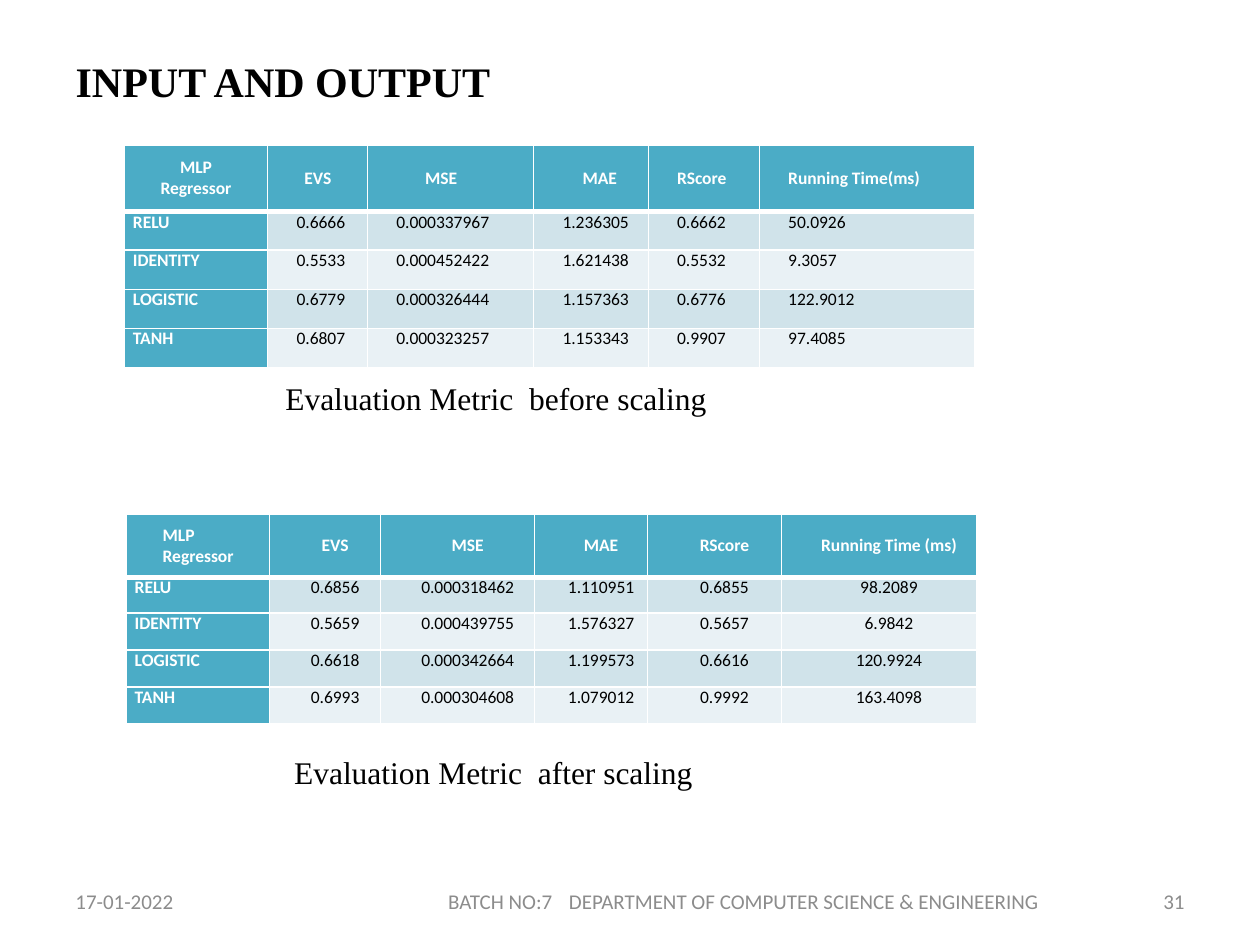
from lxml.etree import SubElement
from pptx import Presentation
from pptx.dml.color import RGBColor
from pptx.enum.text import MSO_ANCHOR as Anchor, PP_ALIGN as Align
from pptx.oxml.ns import qn
from pptx.util import Pt

BLACK = RGBColor(0x00, 0x00, 0x00)
WHITE = RGBColor(0xFF, 0xFF, 0xFF)
GREY = RGBColor(0x8C, 0x8C, 0x8C)
TEAL = RGBColor(0x4B, 0xAC, 0xC6)
BANDS = RGBColor(0xD0, 0xE3, 0xEA), RGBColor(0xE9, 0xF1, 0xF5)

INDENT = 11.5
TITLE = dict(name="Times New Roman", size=Pt(24), bold=True)
CAPTION = dict(name="Times New Roman", size=Pt(18), bold=False)
FOOTER = dict(name="Calibri", size=Pt(12), bold=False)
HEADING = dict(name="Calibri", size=Pt(10), bold=True)
VALUE = dict(name="Calibri", size=Pt(10), bold=False)

BEFORE_HEADS = [
    ("MLP\nRegressor", Align.CENTER, 0),
    ("EVS", Align.JUSTIFY, 16),
    ("MSE", Align.LEFT, 28),
    ("MAE", Align.JUSTIFY, 23),
    ("RScore", Align.JUSTIFY, INDENT),
    ("Running Time(ms)", Align.LEFT, INDENT),
]
AFTER_HEADS = [("MLP\nRegressor", Align.LEFT, 16)] + [
    (name, Align.CENTER, INDENT)
    for name in ("EVS", "MSE", "MAE", "RScore", "Running Time (ms)")
]
BEFORE_ROWS = [
    ("RELU", "0.6666", "0.000337967", "1.236305", "0.6662", "50.0926"),
    ("IDENTITY", "0.5533", "0.000452422", "1.621438", "0.5532", "9.3057"),
    ("LOGISTIC", "0.6779", "0.000326444", "1.157363", "0.6776", "122.9012"),
    ("TANH", "0.6807", "0.000323257", "1.153343", "0.9907", "97.4085"),
]
AFTER_ROWS = [
    ("RELU", "0.6856", "0.000318462", "1.110951", "0.6855", "98.2089"),
    ("IDENTITY", "0.5659", "0.000439755", "1.576327", "0.5657", "6.9842"),
    ("LOGISTIC", "0.6618", "0.000342664", "1.199573", "0.6616", "120.9924"),
    ("TANH", "0.6993", "0.000304608", "1.079012", "0.9992", "163.4098"),
]


class SlideBuilder:
    """Draws styled titles, texts and metric tables on one page."""

    def __init__(self, deck):
        self.page = deck.slides.add_slide(deck.slide_layouts[5])

    def fill_text(self, frame, text, style, color, align=Align.LEFT, indent=0, spacing=None,
                  tab=None):
        for number, line in enumerate(text.split("\n")):
            para = frame.add_paragraph() if number else frame.paragraphs[0]
            para.text = line
            para.alignment = align
            if spacing:
                para.line_spacing = Pt(spacing)
            properties = para._p.get_or_add_pPr()
            properties.set("marL", "0")
            properties.set("indent", str(Pt(indent)))
            if tab:
                stops = SubElement(properties, qn("a:tabLst"))
                SubElement(stops, qn("a:tab"), pos=str(Pt(tab)), algn="l")
            for span in para.runs:
                span.font.color.rgb = color
                for key, value in style.items():
                    setattr(span.font, key, value)

    def title(self, text, left, top, width, height):
        box = self.page.shapes.title
        for key, value in dict(left=left, top=top, width=width, height=height).items():
            setattr(box, key, Pt(value))
        box.text_frame.vertical_anchor = Anchor.TOP
        self.fill_text(box.text_frame, text, TITLE, BLACK)

    def text(self, text, place, style, color, anchor=Anchor.TOP, **layout):
        frame = self.page.shapes.add_textbox(*map(Pt, place)).text_frame
        frame.word_wrap = True
        frame.vertical_anchor = anchor
        self.fill_text(frame, text, style, color, **layout)

    def cell(self, cell, text, style, color, fill, anchor, bottom=1, **layout):
        margins = dict(margin_left=5, margin_right=5, margin_top=0, margin_bottom=0)
        for key, value in margins.items():
            setattr(cell, key, Pt(value))
        cell.vertical_anchor = anchor
        for side, weight in dict(L=1, R=1, T=1, B=bottom).items():
            edge = SubElement(cell._tc.get_or_add_tcPr(), qn(f"a:ln{side}"), w=str(Pt(weight)))
            SubElement(SubElement(edge, qn("a:solidFill")), qn("a:srgbClr"), val=str(WHITE))
        cell.fill.solid()
        cell.fill.fore_color.rgb = fill
        self.fill_text(cell.text_frame, text, style, color, spacing=12, **layout)

    def table(self, left, top, widths, heights, heads, rows, align):
        place = map(Pt, (left, top, sum(widths), sum(heights)))
        grid = self.page.shapes.add_table(len(heights), len(widths), *place).table
        grid.first_col, grid.horz_banding = True, False
        for column, width in zip(grid.columns, widths):
            column.width = Pt(width)
        for row, height in zip(grid.rows, heights):
            row.height = Pt(height)
        for index, (text, head_align, indent) in enumerate(heads):
            self.cell(grid.cell(0, index), text, HEADING, WHITE, TEAL, Anchor.MIDDLE,
                      bottom=3, align=head_align, indent=indent)
        for number, (name, *values) in enumerate(rows):
            self.cell(grid.cell(number + 1, 0), name, HEADING, WHITE, TEAL, Anchor.TOP)
            for index, value in enumerate(values, 1):
                self.cell(grid.cell(number + 1, index), value, VALUE, BLACK, BANDS[number % 2],
                          Anchor.TOP, align=align, indent=INDENT)


def main():
    deck = Presentation()
    deck.slide_width, deck.slide_height = Pt(720), Pt(540)
    slide = SlideBuilder(deck)
    slide.title("INPUT AND OUTPUT", 36, 28, 648, 90)
    footers = [
        ("17-01-2022", 36, 168, dict(align=Align.LEFT)),
        ("BATCH NO:7\tDEPARTMENT OF COMPUTER SCIENCE & ENGINEERING", 246, 364,
         dict(indent=3, tab=76.5)),
        ("31", 516, 168, dict(align=Align.RIGHT)),
    ]
    for text, left, width, layout in footers:
        slide.text(text, (left, 500.5, width, 29), FOOTER, GREY, Anchor.MIDDLE, **layout)
    slide.table(71, 83, (82, 57, 95, 65.5, 63.5, 123), (38, 22, 22.4, 22.4, 22.4),
                BEFORE_HEADS, BEFORE_ROWS, Align.JUSTIFY)
    slide.table(72, 294, (82, 63.5, 88, 64.5, 76.5, 111.5), (36, 20.2, 21.2, 21.2, 21.2),
                AFTER_HEADS, AFTER_ROWS, Align.CENTER)
    slide.text("Evaluation Metric  before scaling", (156, 213, 360, 29), CAPTION, BLACK)
    slide.text("Evaluation Metric  after scaling", (161, 427, 360, 29), CAPTION, BLACK)
    deck.save("out.pptx")


if __name__ == "__main__":
    main()
